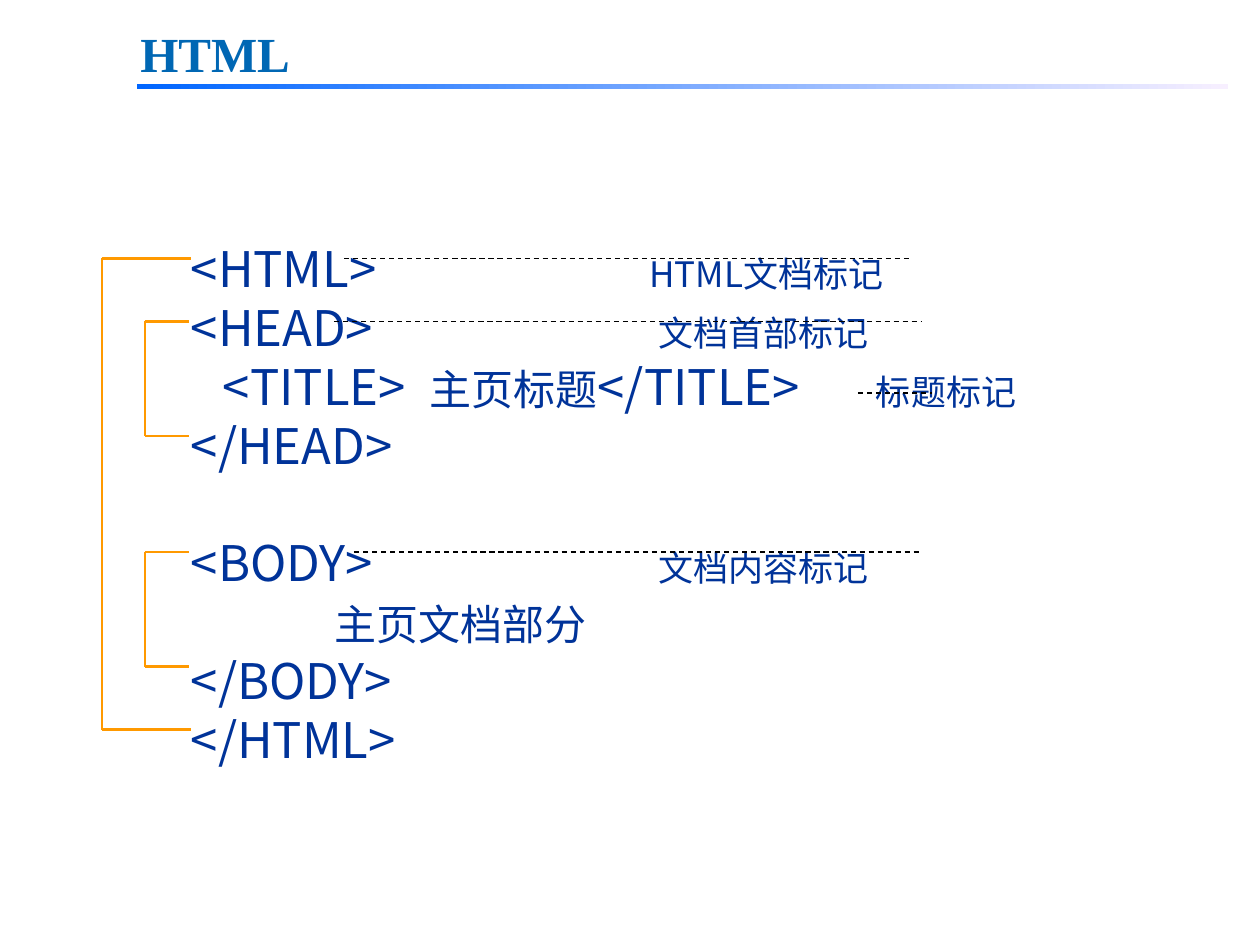
from lxml.etree import SubElement
from pptx import Presentation
from pptx.dml.color import RGBColor
from pptx.enum.dml import MSO_LINE
from pptx.enum.shapes import MSO_CONNECTOR, MSO_SHAPE
from pptx.enum.text import MSO_ANCHOR, MSO_AUTO_SIZE, PP_ALIGN
from pptx.oxml.ns import qn
from pptx.util import Pt

COLORS = {"title": "0067B4", "text": "003399", "bracket": "FF9900",
          "leader": "000000", "bar_start": "0066FF", "bar_end": "F7EFFF"}
TAG, CONTENT, LABEL = 28, 24, 20
LINE_PITCH = 33.6


def add_span(para, text, size, name, color, bold=False):
    span = para.add_run()
    span.text = text
    for key, value in {"size": Pt(size), "name": name, "bold": bold}.items():
        setattr(span.font, key, value)
    span.font.color.rgb = RGBColor.from_string(COLORS[color])
    SubElement(span.font._element, qn("a:ea"), typeface=name)


def add_line(x1, y1, x2, y2, color, width, dash=None):
    line = page.shapes.add_connector(
        MSO_CONNECTOR.STRAIGHT, Pt(x1), Pt(y1), Pt(x2), Pt(y2))
    line.line.color.rgb = RGBColor.from_string(COLORS[color])
    line.line.width = Pt(width)
    if dash:
        line.line.dash_style = dash
    SubElement(line._element.spPr, qn("a:effectLst"))


deck = Presentation()
deck.slide_width, deck.slide_height = Pt(720), Pt(540)
page = deck.slides.add_slide(deck.slide_layouts[5])
title = page.shapes.title

bar = page.shapes.add_shape(MSO_SHAPE.RECTANGLE, Pt(78), Pt(48.2), Pt(624), Pt(2.9))
bar.shadow.inherit = False
bar.line.fill.background()
bar.fill.gradient()
bar.fill.gradient_angle = 0
for stop, color, position in zip(bar.fill.gradient_stops, ("bar_start", "bar_end"), (0, 1)):
    stop.color.rgb = RGBColor.from_string(COLORS[color])
    stop.position = position

outline = page.shapes.add_textbox(0, 0, 0, 0)
boxes = [(title, (73, 10.1, 366.5, 41), (7.2, 3.6)),
         (outline, (99, 131.5, 624.2, 313.2), (10.1, 5))]
for box, frame, (side, edge) in boxes:
    for key, value in zip(("left", "top", "width", "height"), frame):
        setattr(box, key, Pt(value))
    settings = {"margin_left": Pt(side), "margin_right": Pt(side),
                "margin_top": Pt(edge), "margin_bottom": Pt(edge),
                "vertical_anchor": MSO_ANCHOR.TOP, "word_wrap": True,
                "auto_size": MSO_AUTO_SIZE.NONE}
    for key, value in settings.items():
        setattr(box.text_frame, key, value)

para = title.text_frame.paragraphs[0]
para.alignment = PP_ALIGN.JUSTIFY
add_span(para, "HTML", 28, "Times New Roman", "title", True)

rows = [
    ([262], 0, [("<HTML>\t", TAG), ("HTML文档标记", LABEL)]),
    ([267], 0, [("<HEAD>\t", TAG), ("文档首部标记", LABEL)]),
    ([18.3, 136.5, 391.5], 0, [("\t<TITLE>\t", TAG), ("主页标题", CONTENT),
                               ("</TITLE>\t", TAG), ("标题标记", LABEL)]),
    ([], 0, [("</HEAD>", TAG)]),
    ([267], LINE_PITCH, [("<BODY>\t", TAG), ("文档内容标记", LABEL)]),
    ([82], 0, [("\t", TAG), ("主页文档部分", CONTENT)]),
    ([], 0, [("</BODY>", TAG)]),
    ([], 0, [("</HTML>", TAG)]),
]
for index, (tabs, gap, spans) in enumerate(rows):
    para = outline.text_frame.paragraphs[0] if index == 0 else outline.text_frame.add_paragraph()
    if tabs:
        tab_list = SubElement(para._p.get_or_add_pPr(), qn("a:tabLst"))
        for tab in tabs:
            SubElement(tab_list, qn("a:tab"), pos=str(int(Pt(tab))), algn="l")
    for key, value in {"alignment": PP_ALIGN.LEFT, "line_spacing": Pt(LINE_PITCH),
                       "space_before": Pt(gap), "space_after": Pt(0)}.items():
        setattr(para, key, value)
    for text, size in spans:
        add_span(para, text, size, "Noto Sans CJK SC", "text")

brackets = [(82.8, 108, 183.6, 249.1), (58.3, 109.4, 147.6, 416.9),
            (82.8, 108, 315.4, 380.9)]
for left, right, top, bottom in brackets:
    add_line(left, top, right, top, "bracket", 1.5)
    add_line(left, top, left, bottom, "bracket", 1.5)
    add_line(left, bottom, right, bottom, "bracket", 1.5)

leaders = [(490.3, 532.8, 224.6), (196.6, 520.6, 147.6),
           (190.8, 526.3, 183.6), (202.3, 526.3, 315.4)]
for start, end, height in leaders:
    add_line(start, height, end, height, "leader", 0.75, MSO_LINE.DASH)

deck.save("out.pptx")
